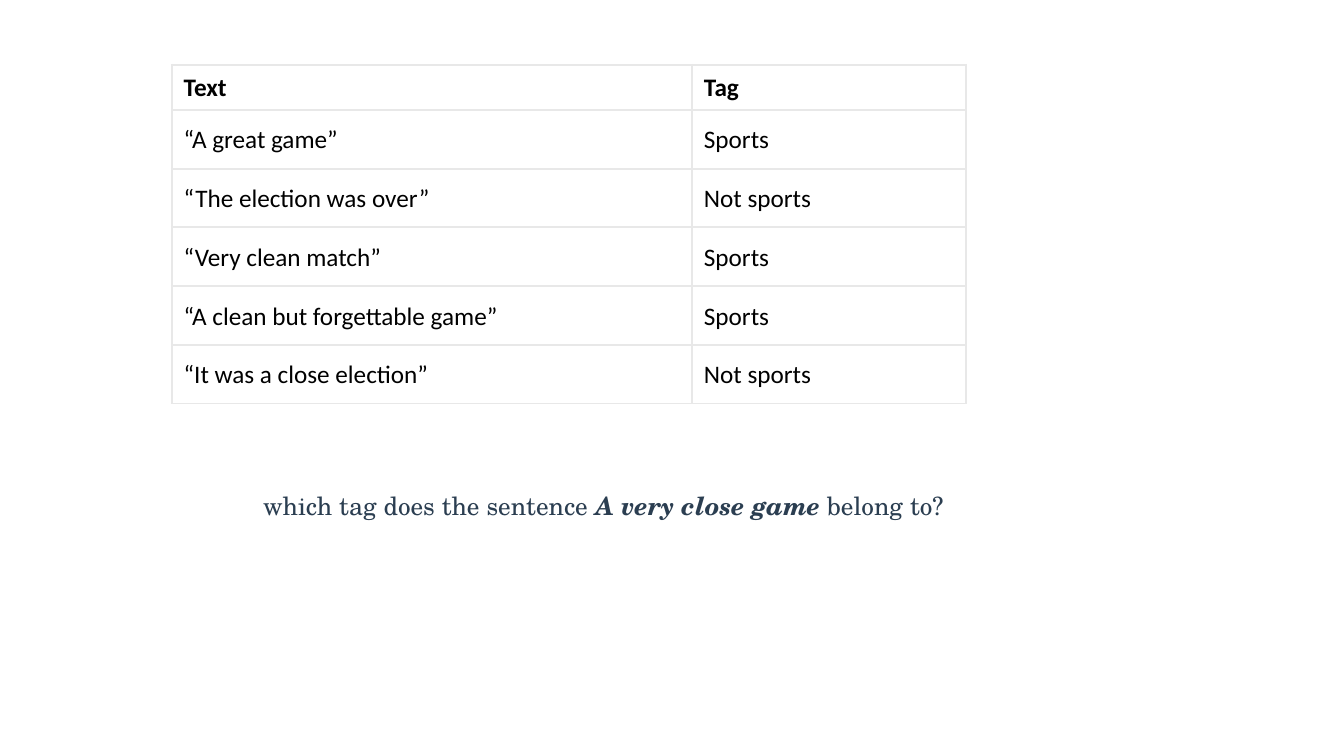
import pptx
import pptx.dml.color
import pptx.enum.text
import pptx.oxml
import pptx.oxml.ns
import pptx.util
from pptx.util import Cm

COLORS = {"text": "000000", "question": "2B3E51", "border": "E8E8E8", "cell": "FFFFFF"}
ROWS = [
    ("Text", "Tag"),
    ("“A great game”", "Sports"),
    ("“The election was over”", "Not sports"),
    ("“Very clean match”", "Sports"),
    ("“A clean but forgettable game”", "Sports"),
    ("“It was a close election”", "Not sports"),
]
COLUMN_WIDTHS = (Cm(13.11), Cm(6.91))
HEADER_HEIGHT = Cm(1.14)
ROW_HEIGHT = Cm(1.48)


def rgb(name):
    return pptx.dml.color.RGBColor.from_string(COLORS[name])


def add_text(p, text, font="Calibri", size=18, color="text", bold=False, italic=False):
    r = p.add_run()
    r.text = text
    r.font.name = font
    r.font.size = pptx.util.Pt(size)
    r.font.bold = bold
    r.font.italic = italic
    r.font.color.rgb = rgb(color)


def add_borders(cell, color="border", width=1.5):
    tc_pr = cell._tc.get_or_add_tcPr()
    for side in ("lnL", "lnR", "lnT", "lnB"):
        tc_pr.append(pptx.oxml.parse_xml(
            f'<a:{side} {pptx.oxml.ns.nsdecls("a")} w="{pptx.util.Pt(width)}">'
            f'<a:solidFill><a:srgbClr val="{COLORS[color]}"/></a:solidFill></a:{side}>'))


def fill_cell(cell, text, bold):
    add_borders(cell)
    cell.fill.solid()
    cell.fill.fore_color.rgb = rgb("cell")
    cell.margin_left = cell.margin_right = Cm(0.3)
    cell.margin_top = Cm(0.2)
    cell.margin_bottom = Cm(0.15)
    cell.vertical_anchor = pptx.enum.text.MSO_ANCHOR.MIDDLE
    add_text(cell.text_frame.paragraphs[0], text, bold=bold)


def add_tag_table(s, left, top):
    height = HEADER_HEIGHT + ROW_HEIGHT * (len(ROWS) - 1)
    table = s.shapes.add_table(
        len(ROWS), len(COLUMN_WIDTHS), left, top, sum(COLUMN_WIDTHS), height).table
    for column, width in zip(table.columns, COLUMN_WIDTHS):
        column.width = width
    for i, row in enumerate(ROWS):
        table.rows[i].height = ROW_HEIGHT if i else HEADER_HEIGHT
        for j, text in enumerate(row):
            fill_cell(table.cell(i, j), text, bold=i == 0)


def add_question(s, left, top, width, height):
    tf = s.shapes.add_textbox(left, top, width, height).text_frame
    tf.word_wrap = True
    tf.auto_size = pptx.enum.text.MSO_AUTO_SIZE.SHAPE_TO_FIT_TEXT
    p = tf.paragraphs[0]
    for text, strong in (("which tag does the sentence ", False),
                         ("A very close game", True),
                         (" belong to?", False)):
        add_text(p, text, font="TeX Gyre Schola", color="question",
                 bold=strong, italic=strong)


def main():
    prs = pptx.Presentation()
    prs.slide_width = Cm(33.87)
    prs.slide_height = Cm(19.05)
    s = prs.slides.add_slide(prs.slide_layouts[6])
    add_tag_table(s, Cm(4.33), Cm(1.63))
    add_question(s, Cm(6.38), Cm(12.22), Cm(19.05), Cm(1.02))
    prs.save("out.pptx")


if __name__ == "__main__":
    main()
